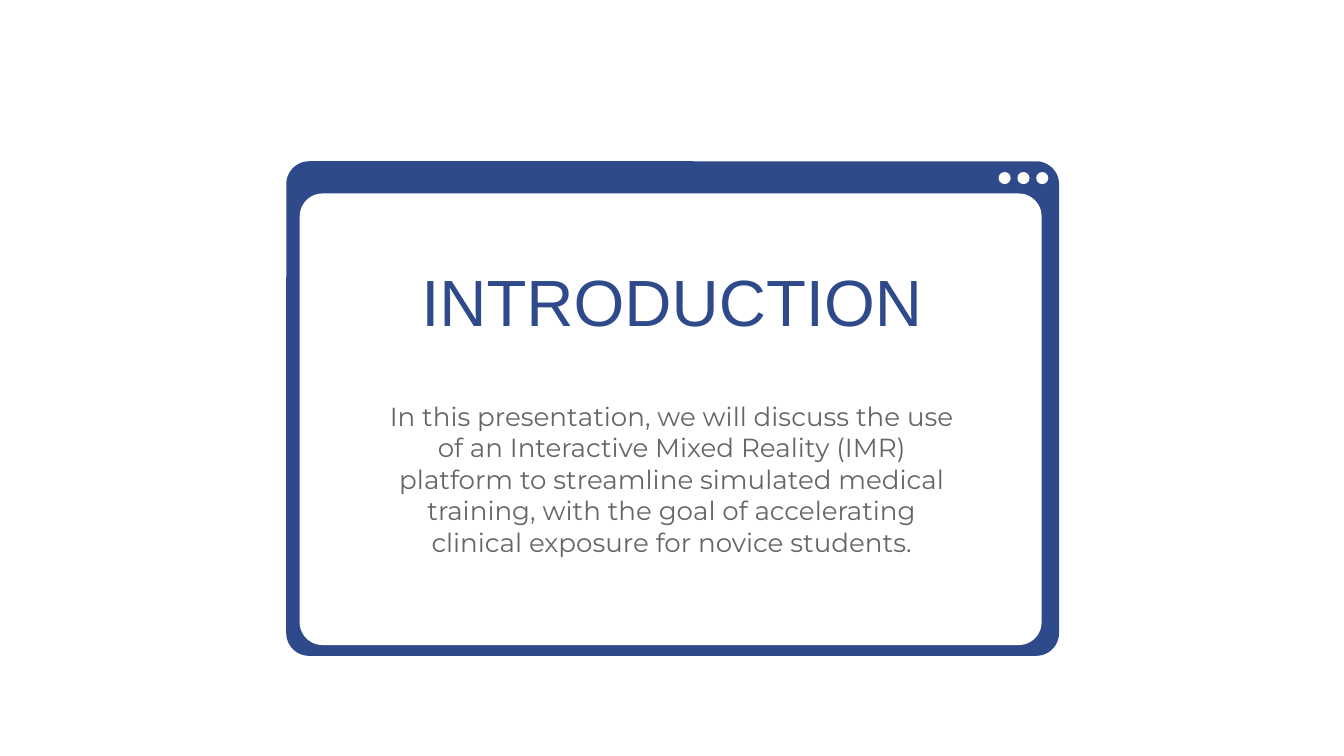
from pptx import Presentation
from pptx.dml.color import RGBColor
from pptx.enum.shapes import MSO_SHAPE
from pptx.enum.text import MSO_ANCHOR, MSO_AUTO_SIZE, PP_ALIGN
from pptx.util import Inches, Pt

ROUNDED = MSO_SHAPE.ROUNDED_RECTANGLE
OVAL = MSO_SHAPE.OVAL
TOP, BOTTOM = MSO_ANCHOR.TOP, MSO_ANCHOR.BOTTOM
CENTER = PP_ALIGN.CENTER
NO_AUTOFIT = MSO_AUTO_SIZE.NONE
COLORS = {"navy": "2F4A8A", "white": "FFFFFF", "gray": "666666"}
WIDTH = 10
HEIGHT = WIDTH * 9 / 16
TITLE_ONLY = 5
CORNER_RADIUS = 0.17


def add_filled_shape(kind, left, top, width, height, color):
    shape = slide.shapes.add_shape(
        kind, Inches(left), Inches(top), Inches(width), Inches(height))
    shape.shadow.inherit = False
    shape.fill.solid()
    shape.fill.fore_color.rgb = RGBColor.from_string(COLORS[color])
    shape.line.fill.background()
    if kind == ROUNDED:
        shape.adjustments[0] = CORNER_RADIUS / height


def write_centered(shape, text, top, width, height, anchor, font_name, size, color):
    shape.left, shape.top = Inches((WIDTH - width) / 2), Inches(top)
    shape.width, shape.height = Inches(width), Inches(height)
    frame = shape.text_frame
    frame.text = text
    frame.word_wrap = True
    frame.auto_size = NO_AUTOFIT
    frame.vertical_anchor = anchor
    frame.margin_left = frame.margin_right = Inches(0.1)
    frame.margin_top = frame.margin_bottom = Inches(0.1)
    paragraph = frame.paragraphs[0]
    paragraph.alignment = CENTER
    font = paragraph.runs[0].font
    font.name = font_name
    font.size = Pt(size)
    font.color.rgb = RGBColor.from_string(COLORS[color])


presentation = Presentation()
presentation.slide_width = Inches(WIDTH)
presentation.slide_height = Inches(HEIGHT)
slide = presentation.slides.add_slide(presentation.slide_layouts[TITLE_ONLY])

add_filled_shape(ROUNDED, 2.13, 1.2, 5.75, 3.68, "navy")
add_filled_shape(ROUNDED, 2.23, 1.44, 5.52, 3.36, "white")

button_size, button_pitch = 0.09, 0.14
for column in range(3):
    add_filled_shape(OVAL, 7.43 + column * button_pitch, 1.28,
                     button_size, button_size, "white")

title = slide.shapes.title
title.element.getparent().append(title.element)
write_centered(title, "INTRODUCTION", 1.7, 4.64, 0.93, BOTTOM, "Arial", 35, "navy")

summary = slide.shapes.add_textbox(0, 0, 0, 0)
write_centered(
    summary,
    "In this presentation, we will discuss the use of an Interactive Mixed Reality "
    "(IMR) platform to streamline simulated medical training, with the goal of "
    "accelerating clinical exposure for novice students.",
    2.88, 4.5, 1.36, TOP, "Montserrat", 14, "gray")

presentation.save("out.pptx")
